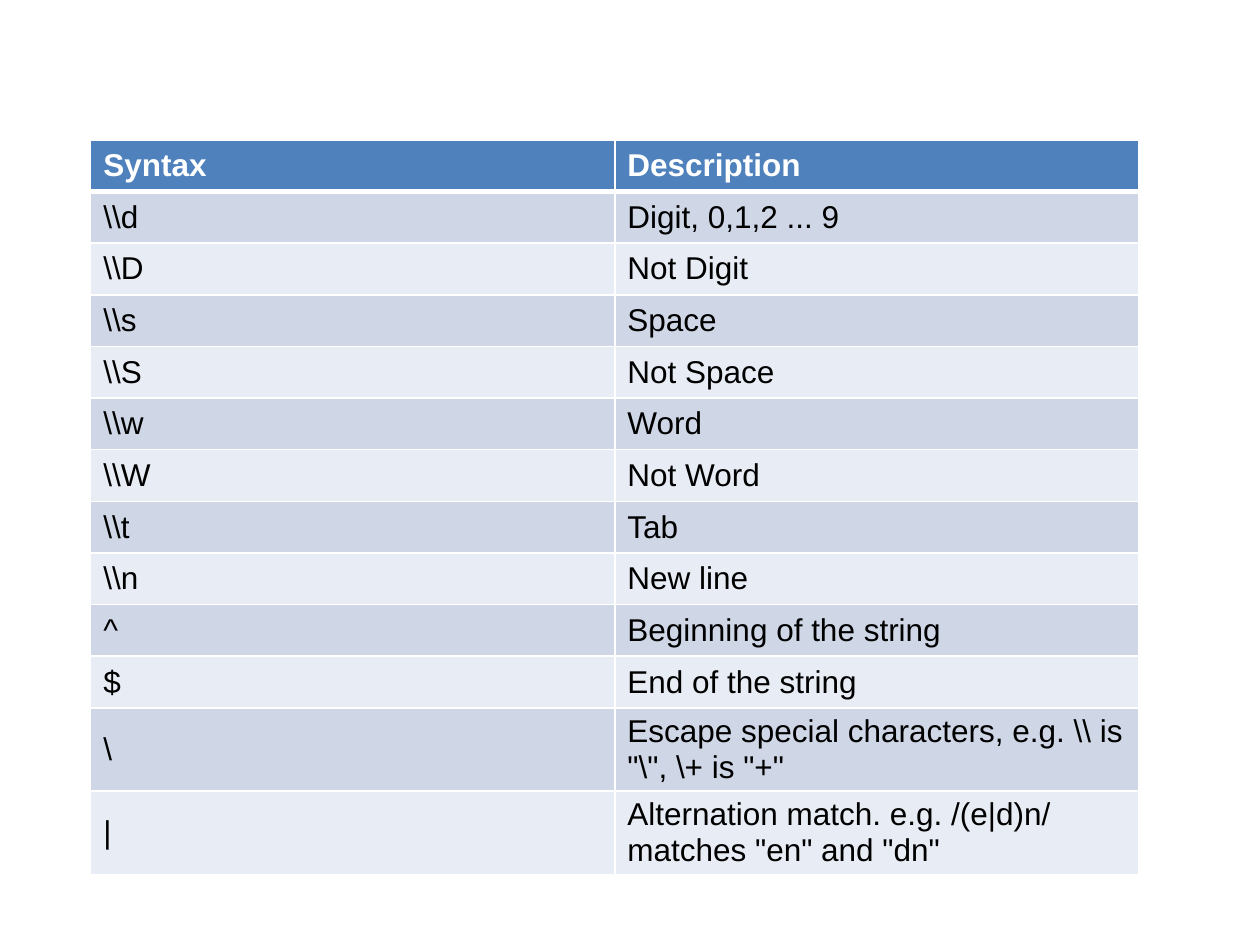
from lxml import etree
from pptx import Presentation
from pptx.dml.color import RGBColor
from pptx.enum.text import MSO_ANCHOR as Anchor
from pptx.oxml.ns import qn
from pptx.util import Inches, Pt

ROWS = [
    ("Syntax", "Description"),
    (r"\\d", "Digit, 0,1,2 ... 9"),
    (r"\\D", "Not Digit"),
    (r"\\s", "Space"),
    (r"\\S", "Not Space"),
    (r"\\w", "Word"),
    (r"\\W", "Not Word"),
    (r"\\t", "Tab"),
    (r"\\n", "New line"),
    ("^", "Beginning of the string"),
    ("$", "End of the string"),
    ("\\", r'Escape special characters, e.g. \\ is "\", \+ is "+"'),
    ("|", 'Alternation match. e.g. /(e|d)n/ matches "en" and "dn"'),
]
HEADER_FILL = "4F81BD"
BAND_FILLS = ["E8ECF4", "CFD7E7"]
WHITE = "FFFFFF"
BLACK = "000000"
CELL_FORMAT = {
    "vertical_anchor": Anchor.MIDDLE,
    "margin_left": Inches(0.1),
    "margin_right": Inches(0.1),
    "margin_top": Inches(0.05),
    "margin_bottom": Inches(0.05),
}
FONT_FORMAT = {"name": "Arial", "size": Pt(18)}


def color(hex_value):
    return RGBColor.from_string(hex_value)


def set_format(target, values):
    for name, value in values.items():
        setattr(target, name, value)


def set_borders(cell, widths):
    properties = cell._tc.get_or_add_tcPr()
    for position, (side, width) in enumerate(widths.items()):
        line = etree.Element(qn(f"a:ln{side}"), w=str(Pt(width)))
        fill = etree.SubElement(line, qn("a:solidFill"))
        etree.SubElement(fill, qn("a:srgbClr"), val=WHITE)
        properties.insert(position, line)


def fill_cell(cell, text, row):
    header = row == 0
    cell.text = text
    set_format(cell, CELL_FORMAT)
    cell.fill.solid()
    cell.fill.fore_color.rgb = color(HEADER_FILL if header else BAND_FILLS[row % 2])
    font = cell.text_frame.paragraphs[0].runs[0].font
    set_format(font, FONT_FORMAT | {"bold": header})
    font.color.rgb = color(WHITE if header else BLACK)
    top, bottom = (3 if row == 1 else 1), (3 if header else 1)
    set_borders(cell, {"L": 1, "R": 1, "T": top, "B": bottom})


def add_syntax_table(page, left, top, width, row_height):
    columns = len(ROWS[0])
    frame = page.shapes.add_table(
        len(ROWS), columns, left, top, width, row_height * len(ROWS)
    )
    table = frame.table
    for row, texts in enumerate(ROWS):
        table.rows[row].height = row_height
        for column, text in enumerate(texts):
            fill_cell(table.cell(row, column), text, row)


def main():
    deck = Presentation()
    deck.slide_width, deck.slide_height = Inches(10), Inches(7.5)
    page = deck.slides.add_slide(deck.slide_layouts[6])
    add_syntax_table(page, Inches(0.72), Inches(1.11), Inches(8.32), Inches(0.41))
    deck.save("out.pptx")


if __name__ == "__main__":
    main()
